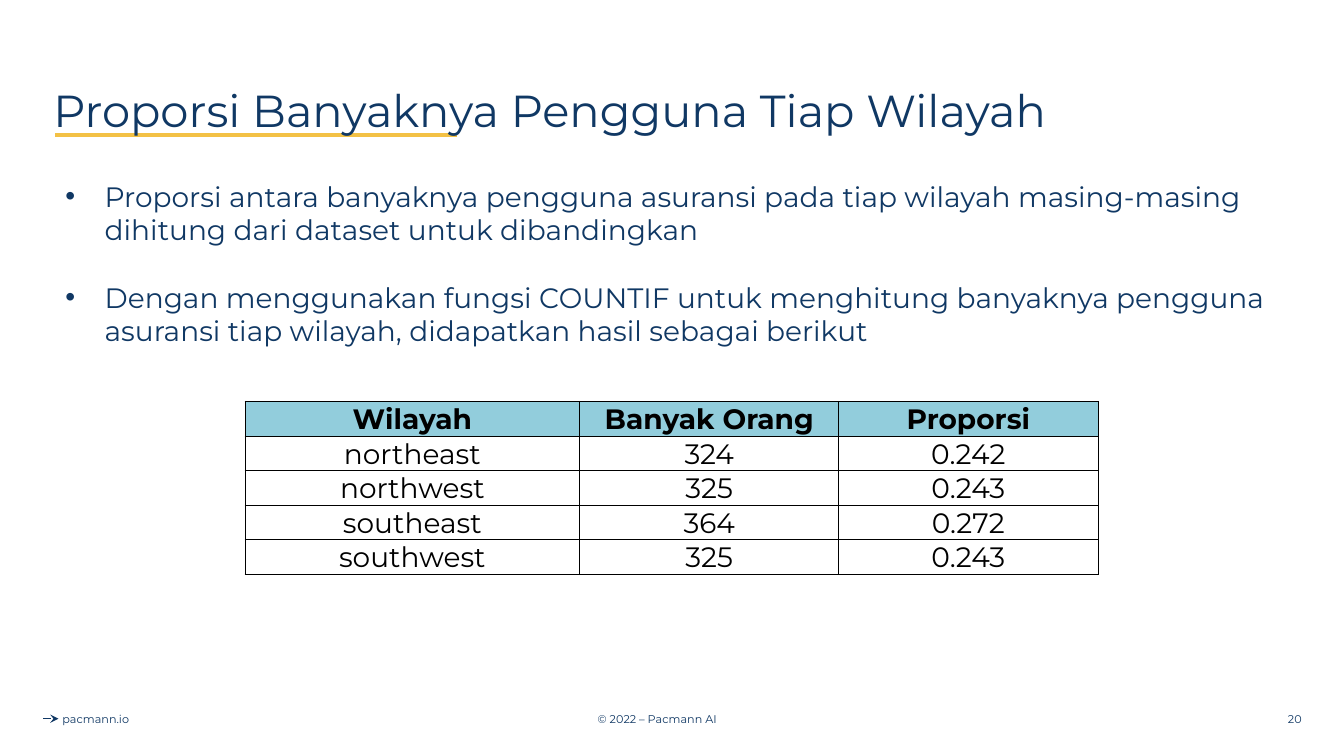
import pptx
import pptx.dml.color
import pptx.enum.shapes
import pptx.enum.text
import pptx.oxml
import pptx.oxml.ns
import pptx.util

Inches = pptx.util.Inches
Pt = pptx.util.Pt
Align = pptx.enum.text.PP_ALIGN
Anchor = pptx.enum.text.MSO_ANCHOR

NAVY = pptx.dml.color.RGBColor(0x10, 0x38, 0x64)
GOLD = pptx.dml.color.RGBColor(0xF3, 0xC1, 0x45)
TEAL = pptx.dml.color.RGBColor(0x92, 0xCD, 0xDC)
BLACK = pptx.dml.color.RGBColor(0, 0, 0)

BULLETS = [
    "Proporsi antara banyaknya pengguna asuransi pada tiap wilayah masing-masing dihitung dari dataset untuk dibandingkan",
    "Dengan menggunakan fungsi COUNTIF untuk menghitung banyaknya pengguna asuransi tiap wilayah, didapatkan hasil sebagai berikut",
]
REGIONS = [
    ("Wilayah", "Banyak Orang", "Proporsi"),
    ("northeast", "324", "0.242"),
    ("northwest", "325", "0.243"),
    ("southeast", "364", "0.272"),
    ("southwest", "325", "0.243"),
]
FOOTERS = [
    ("© 2022 – Pacmann AI", 4.27, 4.5, Align.CENTER),
    ("pacmann.io", 0, 1.9, Align.CENTER),
    ("20", 10.01, 3, Align.RIGHT),
]


def add_xml(parent, tag, content="", attributes=""):
    namespace = pptx.oxml.ns.nsdecls("a")
    element = pptx.oxml.parse_xml(f"<a:{tag} {namespace} {attributes}>{content}</a:{tag}>")
    parent.append(element)


class SlideBuilder:
    font_name = "Montserrat"

    def __init__(self, slide):
        self.slide = slide

    def style(self, paragraph, size, color=NAVY, bold=False):
        paragraph.font.name = self.font_name
        paragraph.font.size = Pt(size)
        paragraph.font.color.rgb = color
        paragraph.font.bold = bold

    def line(self, left, right, top, color, width, arrow=False):
        connector = self.slide.shapes.add_connector(
            pptx.enum.shapes.MSO_CONNECTOR.STRAIGHT,
            Inches(left), Inches(top), Inches(right), Inches(top))
        connector.line.color.rgb = color
        connector.line.width = Pt(width)
        if arrow:
            add_xml(connector.line._get_or_add_ln(), "tailEnd", attributes='type="stealth"')
        add_xml(connector.element.spPr, "effectLst")

    def title(self, text, left, top, width, height):
        title = self.slide.shapes.title
        title.left, title.top = Inches(left), Inches(top)
        title.width, title.height = Inches(width), Inches(height)
        title.element.getparent().append(title.element)
        title.text_frame.text = text
        title.text_frame.word_wrap = True
        title.text_frame.vertical_anchor = Anchor.MIDDLE
        paragraph = title.text_frame.paragraphs[0]
        paragraph.alignment = Align.LEFT
        paragraph.line_spacing = 0.9
        self.style(paragraph, 32)

    def text_box(self, left, top, width, height, anchor):
        box = self.slide.shapes.add_textbox(
            Inches(left), Inches(top), Inches(width), Inches(height))
        box.text_frame.word_wrap = True
        box.text_frame.vertical_anchor = anchor
        return box.text_frame

    def footer(self, text, left, width, alignment):
        paragraph = self.text_box(left, 6.93, width, 0.4, Anchor.MIDDLE).paragraphs[0]
        paragraph.text = text
        paragraph.alignment = alignment
        self.style(paragraph, 8)

    def bullets(self, items, left, top, width, height):
        frame = self.text_box(left, top, width, height, Anchor.TOP)
        frame.text = "\n".join(items)
        for index, paragraph in enumerate(frame.paragraphs):
            properties = paragraph._p.get_or_add_pPr()
            properties.set("marL", str(Inches(0.5)))
            properties.set("indent", str(Inches(-0.39)))
            add_xml(properties, "buClr", f'<a:srgbClr val="{NAVY}"/>')
            add_xml(properties, "buFont", attributes='typeface="Arial"')
            add_xml(properties, "buChar", attributes='char="•"')
            if index:
                paragraph.space_before = Pt(24)
            self.style(paragraph, 20)

    def table(self, rows, left, top, column_widths, row_height):
        table = self.slide.shapes.add_table(
            len(rows), len(column_widths), Inches(left), Inches(top),
            Inches(sum(column_widths)), Inches(row_height * len(rows))).table
        table.first_row = table.horz_banding = False
        for column, width in zip(table.columns, column_widths):
            column.width = Inches(width)
        for row_index, (row, values) in enumerate(zip(table.rows, rows)):
            row.height = Inches(row_height)
            for cell, value in zip(row.cells, values):
                self.cell(cell, value, header=row_index == 0)

    def cell(self, cell, text, header):
        cell.text = text
        cell.vertical_anchor = Anchor.MIDDLE
        cell.margin_left = cell.margin_right = cell.margin_top = Inches(0.01)
        cell.margin_bottom = 0
        paragraph = cell.text_frame.paragraphs[0]
        paragraph.alignment = Align.CENTER
        self.style(paragraph, 20, BLACK, header)
        properties = cell._tc.get_or_add_tcPr()
        for side in ("lnL", "lnR", "lnT", "lnB"):
            add_xml(properties, side,
                    f'<a:solidFill><a:srgbClr val="{BLACK}"/></a:solidFill>',
                    f'w="{Pt(0.5)}"')
        if header:
            cell.fill.solid()
            cell.fill.fore_color.rgb = TEAL
        else:
            cell.fill.background()


def main():
    presentation = pptx.Presentation()
    presentation.slide_width = Inches(13.33)
    presentation.slide_height = Inches(7.5)
    builder = SlideBuilder(presentation.slides.add_slide(presentation.slide_layouts[5]))
    builder.line(0.43, 0.58, 7.13, NAVY, 0.75, arrow=True)
    for footer in FOOTERS:
        builder.footer(*footer)
    builder.line(0.55, 4.53, 1.34, GOLD, 2.25)
    builder.title("Proporsi Banyaknya Pengguna Tiap Wilayah", 0.43, 0.4, 12.47, 1.45)
    builder.bullets(BULLETS, 0.44, 1.73, 12.46, 1.78)
    builder.table(REGIONS, 2.43, 3.98, (3.32, 2.57, 2.57), 0.34)
    presentation.save("out.pptx")


if __name__ == "__main__":
    main()
